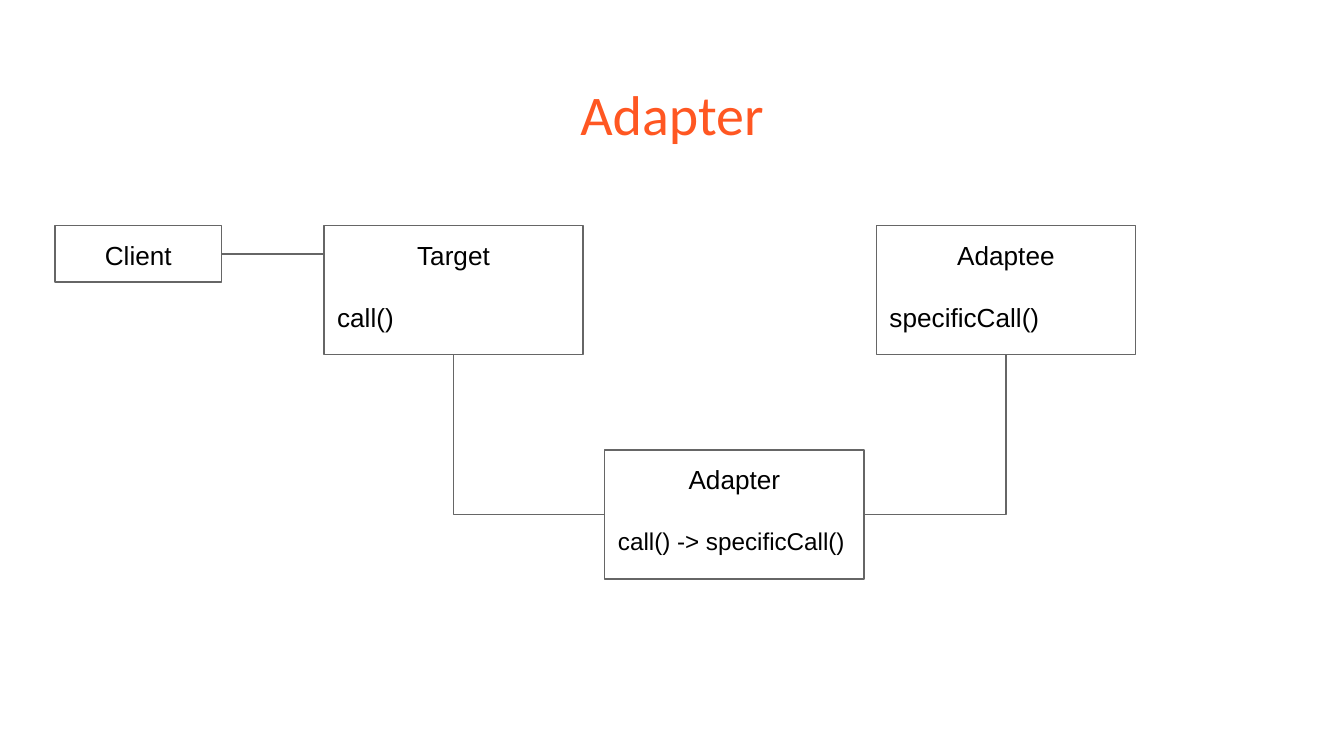
from lxml.etree import SubElement
from pptx import Presentation
from pptx.dml.color import RGBColor
from pptx.enum.shapes import MSO_CONNECTOR, MSO_SHAPE
from pptx.enum.text import MSO_ANCHOR, PP_ALIGN
from pptx.oxml.ns import qn
from pptx.util import Inches, Pt


def color(value):
    return RGBColor.from_string(value)


def add_text(paragraph, text, size, font, fill, alignment):
    paragraph.alignment = alignment
    run = paragraph.add_run()
    run.text = text
    run.font.size = Pt(size)
    run.font.name = font
    run.font.color.rgb = color(fill)


presentation = Presentation()
presentation.slide_width = Inches(10)
presentation.slide_height = Inches(10) * 9 // 16
slide = presentation.slides.add_slide(presentation.slide_layouts[6])

title = slide.shapes.add_textbox(Inches(0.34), Inches(0.49), Inches(9.32), Inches(0.63))
frames = [title.text_frame]
add_text(title.text_frame.paragraphs[0], "Adapter", 30, "Calibri", "FF5722", PP_ALIGN.CENTER)

classes = [
    ("Adaptee", "specificCall()", 14, 6.52, 1.68, 1.93, 0.96),
    ("Target", "call()", 14, 2.41, 1.68, 1.93, 0.96),
    ("Client", None, 14, 0.41, 1.68, 1.24, 0.42),
    ("Adapter", "call() -> specificCall()", 13, 4.5, 3.35, 1.93, 0.96),
]
boxes = {}
for name, method, method_size, left, top, width, height in classes:
    shape = slide.shapes.add_shape(
        MSO_SHAPE.RECTANGLE, Inches(left), Inches(top), Inches(width), Inches(height)
    )
    shape.shadow.inherit = False
    shape.fill.background()
    shape.line.color.rgb = color("666666")
    shape.line.width = Pt(0.75)
    frame = shape.text_frame
    frames.append(frame)
    add_text(frame.paragraphs[0], name, 14, "Arial", "000000", PP_ALIGN.CENTER)
    if method:
        paragraph = frame.add_paragraph()
        paragraph.space_before = Pt(16.5)
        add_text(paragraph, method, method_size, "Arial", "000000", PP_ALIGN.LEFT)
    boxes[name] = shape

for frame in frames:
    frame.word_wrap = True
    frame.vertical_anchor = MSO_ANCHOR.TOP
    frame.margin_left = frame.margin_right = Inches(0.1)
    frame.margin_top = frame.margin_bottom = Inches(0.1)

client_link = slide.shapes.add_connector(
    MSO_CONNECTOR.STRAIGHT, Inches(1.65), Inches(1.89), Inches(2.41), Inches(1.89)
)
client_link.begin_connect(boxes["Client"], 3)
connectors = [client_link]

for name, side, begin_x, end_x in [("Target", 1, 4.5, 3.38), ("Adaptee", 3, 6.43, 7.49)]:
    connector = slide.shapes.add_connector(
        MSO_CONNECTOR.ELBOW, Inches(begin_x), Inches(3.83), Inches(end_x), Inches(2.64)
    )
    connector.begin_connect(boxes["Adapter"], side)
    connector.end_connect(boxes[name], 2)
    connector._element.spPr.find(qn("a:prstGeom")).set("prst", "bentConnector2")
    connectors.append(connector)

for connector in connectors:
    connector.line.color.rgb = color("666666")
    connector.line.width = Pt(0.75)
    SubElement(connector._element.spPr, qn("a:effectLst"))

presentation.save("out.pptx")
